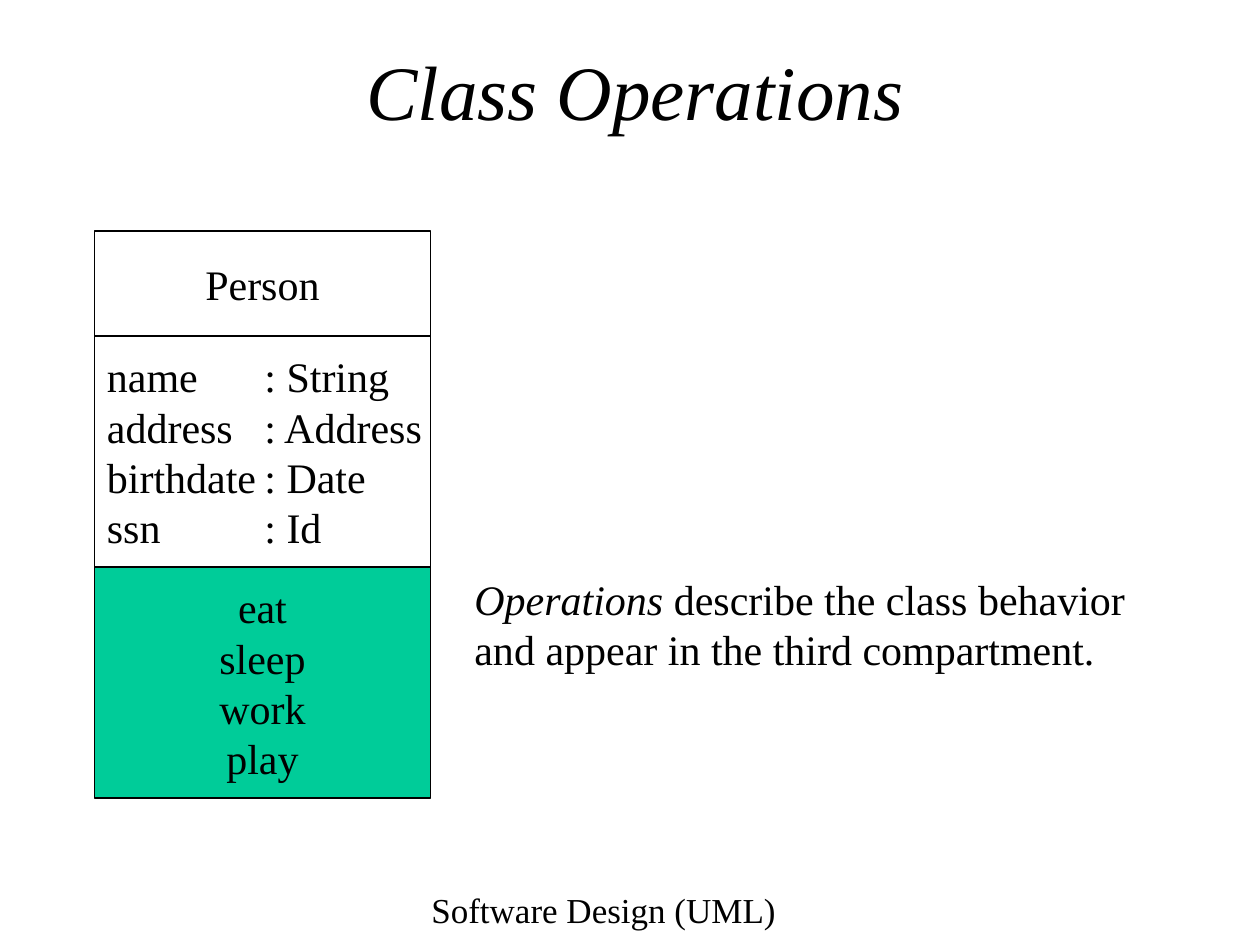
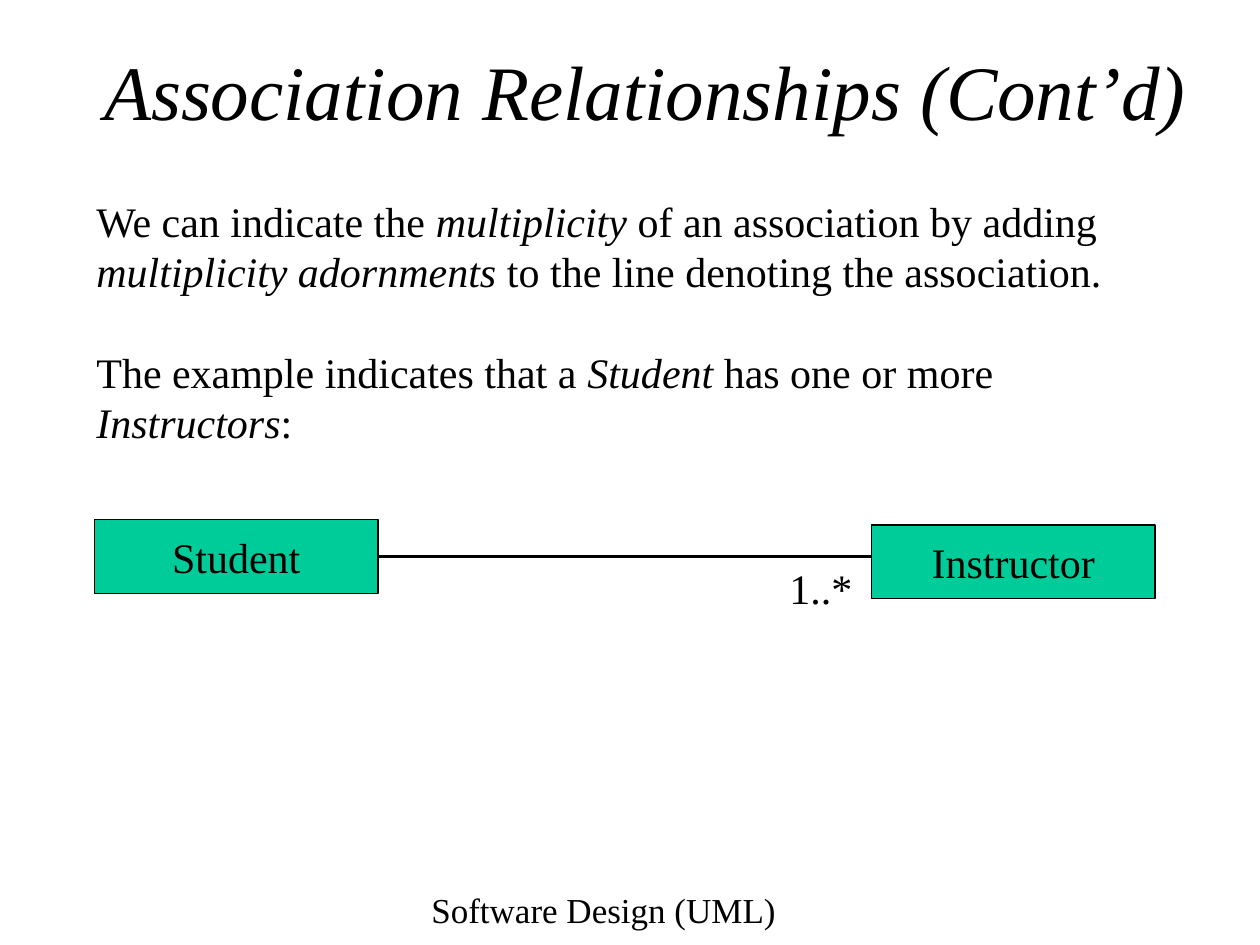
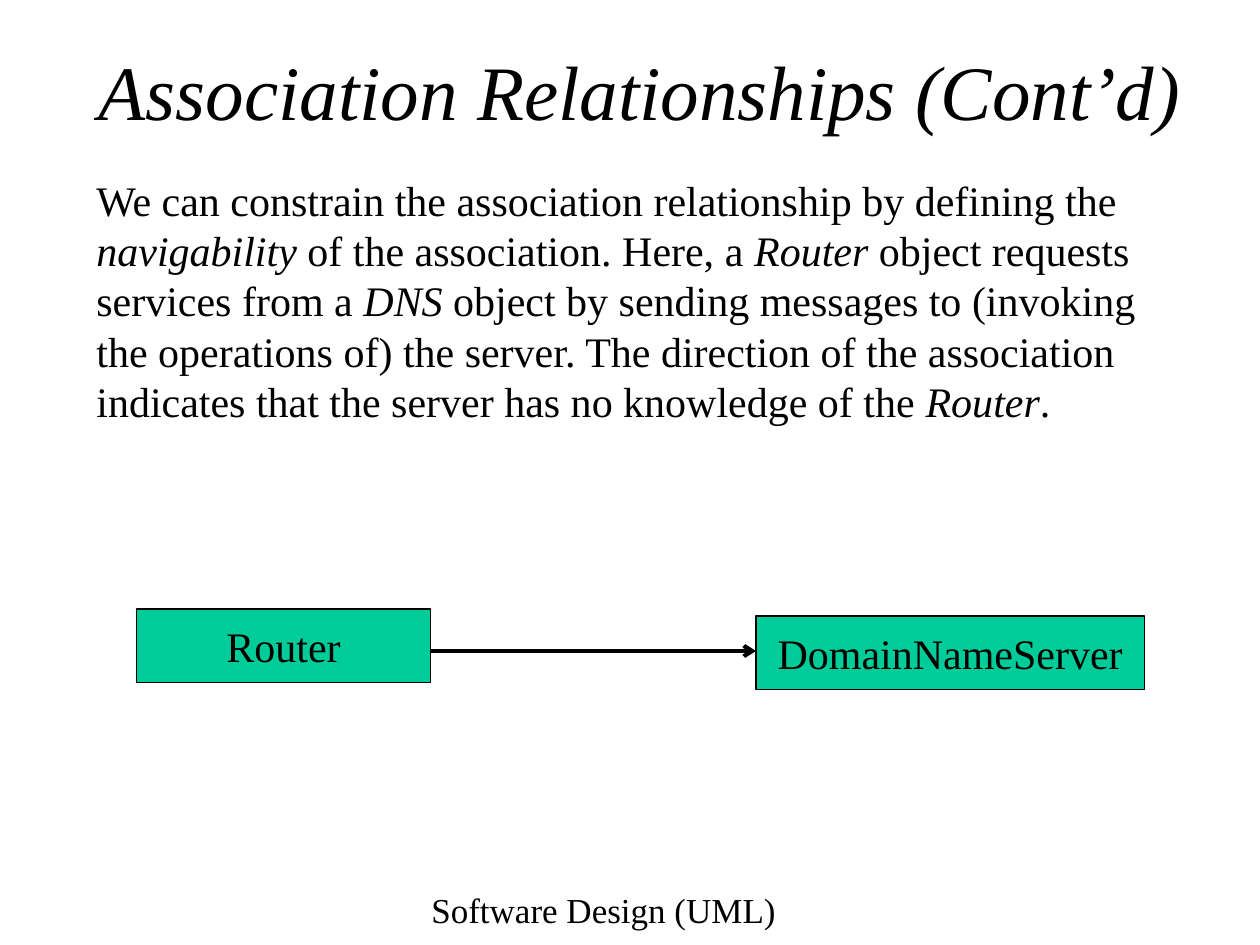
import pptx
import pptx.dml.color
import pptx.enum.shapes
import pptx.enum.text
import pptx.oxml
import pptx.oxml.ns
import pptx.util
from lxml import etree

COLORS = {"ink": "000000", "paper": "FFFFFF", "accent": "00CC99"}
FONT = "Times New Roman"
COLS, ROWS = 120, 90
TITLE_SIZE, BODY_SIZE, FOOTER_SIZE = 44, 24, 20
LEADING = 1.2
FOOTER = "Software Design (UML)"
CENTER = pptx.enum.text.PP_ALIGN.CENTER
LEFT = pptx.enum.text.PP_ALIGN.LEFT
TOP = pptx.enum.text.MSO_ANCHOR.TOP
MIDDLE = pptx.enum.text.MSO_ANCHOR.MIDDLE
RIGHT_SIDE = 3

prs = pptx.Presentation()
prs.slide_width = pptx.util.Inches(10)
prs.slide_height = pptx.util.Inches(7.5)


def rgb(name):
    return pptx.dml.color.RGBColor.from_string(COLORS[name])


def grid(*cells):
    steps = (prs.slide_width / COLS, prs.slide_height / ROWS)
    return [round(cell * steps[i % 2]) for i, cell in enumerate(cells)]


def write(tf, lines, size=BODY_SIZE, align=LEFT, anchor=TOP, wrap=True,
          italic=False, gap=0, tab=None):
    """Underscores in a line switch italics on and off."""
    tf.word_wrap = wrap
    tf.auto_size = pptx.enum.text.MSO_AUTO_SIZE.NONE
    tf.vertical_anchor = anchor
    for i, line in enumerate(lines):
        p = tf.add_paragraph() if i else tf.paragraphs[0]
        p.alignment = align
        p.line_spacing = pptx.util.Pt(size * LEADING)
        p.space_before = pptx.util.Pt(gap if i else 0)
        if tab:
            stops = etree.SubElement(p._p.get_or_add_pPr(), pptx.oxml.ns.qn("a:tabLst"))
            etree.SubElement(stops, pptx.oxml.ns.qn("a:tab"),
                             pos=str(pptx.util.Inches(tab)), algn="l")
        for j, part in enumerate(line.split("_")):
            if part:
                r = p.add_run()
                r.text = part
                r.font.name = FONT
                r.font.size = pptx.util.Pt(size)
                r.font.italic = italic or j % 2 == 1
                r.font.color.rgb = rgb("ink")


def add_text(s, box, lines, **style):
    tb = s.shapes.add_textbox(*grid(*box))
    write(tb.text_frame, lines, **style)


def add_box(s, box, lines, fill="accent", align=CENTER, wrap=False, tab=None):
    sp = s.shapes.add_shape(pptx.enum.shapes.MSO_SHAPE.RECTANGLE, *grid(*box))
    sp.shadow.inherit = False
    sp.fill.solid()
    sp.fill.fore_color.rgb = rgb(fill)
    sp.line.color.rgb = rgb("ink")
    sp.line.width = pptx.util.Pt(0.75)
    write(sp.text_frame, lines, align=align, anchor=MIDDLE, wrap=wrap, tab=tab)
    return sp


def add_association(s, start, end, arrow=False):
    line = s.shapes.add_connector(pptx.enum.shapes.MSO_CONNECTOR.STRAIGHT,
                                  *grid(*start, *end))
    line.line.color.rgb = rgb("ink")
    line.line.width = pptx.util.Pt(2.25)
    if arrow:
        etree.SubElement(line.line._get_or_add_ln(),
                         pptx.oxml.ns.qn("a:tailEnd"), type="arrow")
    etree.SubElement(line._element.spPr, pptx.oxml.ns.qn("a:effectLst"))
    return line


def add_slide(title, left, width):
    s = prs.slides.add_slide(prs.slide_layouts[5])
    sp = s.shapes.title
    sp.left, sp.top, sp.width, sp.height = grid(left, 5, width, 7)
    write(sp.text_frame, [title], size=TITLE_SIZE, align=CENTER, anchor=MIDDLE,
          italic=True)
    add_text(s, (31, 84, 53, 6), [FOOTER], size=FOOTER_SIZE, align=CENTER)
    return s


def class_diagram(s, box, name, attributes, operations):
    left, top, width, height = box
    head = height * 10 / 54
    body = (height - head) / 2
    add_box(s, (left, top, width, head), [name], fill="paper")
    sp = add_box(s, (left, top + head, width, body),
                 [f"{key}\t: {kind}" for key, kind in attributes],
                 fill="paper", align=LEFT, wrap=True, tab=1.25)
    sp.text_frame.margin_right = 0
    add_box(s, (left, top + head + body, width, body), operations)


def operations_slide():
    s = add_slide("Class Operations", 9, 103)
    class_diagram(s, (9, 22, 32, 54), "Person",
                  [("name", "String"), ("address", "Address"),
                   ("birthdate", "Date"), ("ssn", "Id")],
                  ["eat", "sleep", "work", "play"])
    add_text(s, (44, 54, 65.4, 10.8),
             ["_Operations_ describe the class behavior",
              "and appear in the third compartment."], wrap=False)


def multiplicity_slide():
    s = add_slide("Association Relationships (Cont’d)", 8, 107)
    add_text(s, (8, 18, 106.4, 25.2),
             ["We can indicate the _multiplicity_ of an association by adding "
              "_multiplicity adornments_ to the line denoting the association.",
              "The example indicates that a _Student_ has one or more "
              "_Instructors_:"], gap=BODY_SIZE * LEADING)
    student = add_box(s, (9, 49.5, 27, 7), ["Student"])
    line = add_association(s, (36, 53), (84, 53))
    line.begin_connect(student, RIGHT_SIDE)
    add_box(s, (83, 50, 27, 7), ["Instructor"])
    add_text(s, (74, 53, 9, 6), ["1..*"])


def navigability_slide():
    s = add_slide("Association Relationships (Cont’d)", 8, 106)
    add_text(s, (8, 16, 106.4, 25.2),
             ["We can constrain the association relationship by defining the "
              "_navigability_ of the association. Here, a _Router_ object "
              "requests services from a _DNS_ object by sending messages to "
              "(invoking the operations of) the server. The direction of the "
              "association indicates that the server has no knowledge of the "
              "_Router_."])
    add_association(s, (41, 62), (72, 62), arrow=True)
    add_box(s, (13, 58, 28, 7), ["Router"])
    add_box(s, (72, 58.67, 37, 7), ["DomainNameServer"])


def main():
    operations_slide()
    multiplicity_slide()
    navigability_slide()
    prs.save("out.pptx")


if __name__ == "__main__":
    main()
